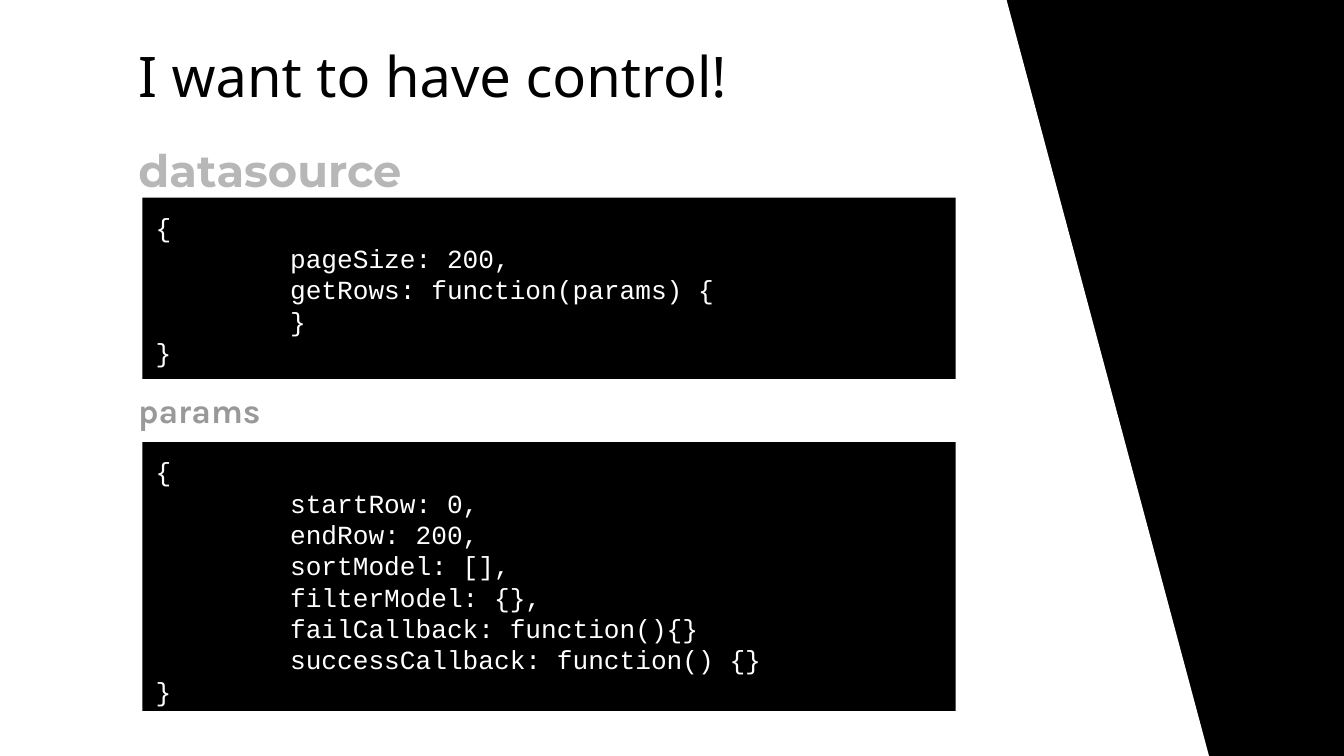
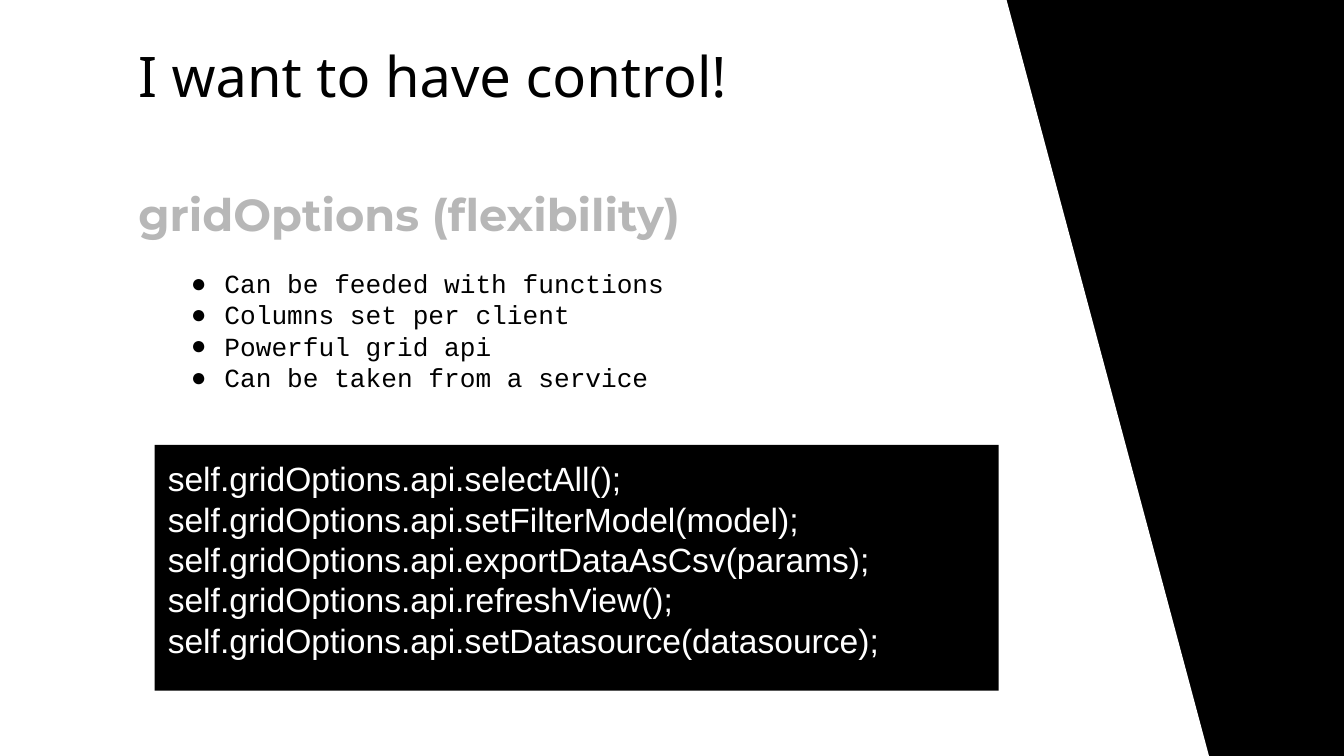
import pptx
import pptx.util
import pptx.dml.color
import pptx.enum.shapes
import pptx.enum.text
import pptx.oxml
import pptx.oxml.ns
import lxml.etree

Inches = pptx.util.Inches
Pt = pptx.util.Pt
ANCHOR = pptx.enum.text.MSO_ANCHOR

COLORS = {
    "black": "000000",
    "white": "FFFFFF",
    "light": "B7B7B7",
    "gray": "999999",
}
WIDTH = 10
HEIGHT = WIDTH * 9 / 16
MONO = "Courier New"
LEFT = 0.93
LEADING = 1.2
HEAD = "I want to have control!"

SOURCE = [
    "{",
    "pageSize: 200,",
    "getRows: function(params) {",
    "}",
    "}",
]
PARAMS = [
    "{",
    "startRow: 0,",
    "endRow: 200,",
    "sortModel: [],",
    "filterModel: {},",
    "failCallback: function(){}",
    "successCallback: function() {}",
    "}",
]
POINTS = [
    "Can be feeded with functions",
    "Columns set per client",
    "Powerful grid api",
    "Can be taken from a service",
]
CALLS = [
    "selectAll();",
    "setFilterModel(model);",
    "exportDataAsCsv(params);",
    "refreshView();",
    "setDatasource(datasource);",
]


def rgb(name):
    return pptx.dml.color.RGBColor.from_string(COLORS[name])


def paint(shape, color):
    shape.fill.solid()
    shape.fill.fore_color.rgb = rgb(color)
    shape.line.fill.background()


def place(shape, left, top, width, height):
    shape.left, shape.top = Inches(left), Inches(top)
    shape.width, shape.height = Inches(width), Inches(height)


def write(shape, lines, font, size, color, bold=False, anchor=ANCHOR.TOP, leading=None):
    """Fill a shape with one paragraph per line and return the paragraphs."""
    frame = shape.text_frame
    frame.word_wrap = True
    frame.auto_size = pptx.enum.text.MSO_AUTO_SIZE.NONE
    frame.vertical_anchor = anchor
    frame.margin_left = frame.margin_right = Inches(0.1)
    frame.margin_top = frame.margin_bottom = Inches(0.1)
    for i, line in enumerate(lines):
        para = frame.paragraphs[0] if i == 0 else frame.add_paragraph()
        para.alignment = pptx.enum.text.PP_ALIGN.LEFT
        para.space_before = Pt(0)
        if leading:
            para.line_spacing = Pt(size * leading)
        run = para.add_run()
        run.text = line
        run.font.name = font
        run.font.size = Pt(size)
        run.font.bold = bold
        run.font.color.rgb = rgb(color)
    return frame.paragraphs


def indent(para, left, first=0.0):
    props = para._p.get_or_add_pPr()
    props.set("marL", str(Inches(left)))
    props.set("indent", str(Inches(first)))
    return props


def add_label(slide, text, box, font, size, color, bold=False, anchor=ANCHOR.TOP):
    label = slide.shapes.add_textbox(*map(Inches, box))
    write(label, [text], font, size, color, bold, anchor)


def add_title(slide, text, top):
    title = slide.shapes.title
    place(title, LEFT, top, 5.25, 0.64)
    write(title, [text], "Montserrat", 24, "light", True, ANCHOR.BOTTOM)


def add_code(slide, lines, box, font=MONO, size=14):
    panel = slide.shapes.add_shape(
        pptx.enum.shapes.MSO_SHAPE.RECTANGLE, *map(Inches, box))
    panel.shadow.inherit = False
    paint(panel, "black")
    return write(panel, lines, font, size, "white", leading=LEADING)


def add_block(slide, lines, top, height):
    """Code between braces, with the inner lines set in."""
    paras = add_code(slide, lines, (1.06, top, 6.05, height))
    for para in paras[1:-1]:
        indent(para, 1)


def add_list(slide, lines, box):
    body = slide.placeholders[1]
    place(body, *box)
    paint(body, "white")
    for para in write(body, lines, MONO, 14, "black", leading=LEADING):
        props = indent(para, 0.5, -0.25)
        mark = lxml.etree.SubElement(props, pptx.oxml.ns.qn("a:buChar"))
        mark.set("char", "●")


def add_band(deck, slide, left, color, alpha=None):
    """Draw a slanted panel and move it to the master."""
    pen = slide.shapes.build_freeform(Inches(left), Inches(-0.01))
    pen.add_line_segments([
        (Inches(left + x), Inches(y))
        for x, y in ((0, 5.64), (9, 5.64), (7.49, 0))
    ])
    band = pen.convert_to_shape()
    band.shadow.inherit = False
    paint(band, color)
    if alpha:
        tone = band.element.spPr.find(".//" + pptx.oxml.ns.qn("a:srgbClr"))
        node = lxml.etree.SubElement(tone, pptx.oxml.ns.qn("a:alpha"))
        node.set("val", str(alpha * 1000))
    tree = deck.slide_master.shapes.element
    band.element.nvSpPr.cNvPr.set("id", str(100 + len(tree)))
    tree.append(band.element)


def add_slide(deck, layout, title, top):
    slide = deck.slides.add_slide(deck.slide_layouts[layout])
    add_title(slide, title, top)
    add_label(slide, HEAD, (LEFT, 0.21, 5.81, 0.75), "Noto Sans", 30, "black")
    return slide


def main():
    deck = pptx.Presentation()
    deck.slide_width, deck.slide_height = Inches(WIDTH), Inches(HEIGHT)
    back = deck.slide_master.background.fill
    back.solid()
    back.fore_color.rgb = rgb("black")

    # Data source and its params
    slide = add_slide(deck, 5, "datasource", 0.92)
    add_block(slide, SOURCE, 1.47, 1.35)
    add_block(slide, PARAMS, 3.29, 2)
    add_label(slide, "params", (LEFT, 2.8, 2.36, 0.5), "Karla", 18, "gray",
              True, ANCHOR.BOTTOM)

    # Shared bands
    add_band(deck, slide, 0.25, "black", 7)
    add_band(deck, slide, 0, "white")

    # Grid options
    slide = add_slide(deck, 1, "gridOptions (flexibility)", 1.25)
    add_list(slide, POINTS, (1.07, 1.89, 6.05, 1.16))
    calls = ["self.gridOptions.api." + call for call in CALLS]
    add_code(slide, calls, (1.15, 3.31, 6.28, 1.83), "Arial", 18)

    deck.save("out.pptx")


if __name__ == "__main__":
    main()
